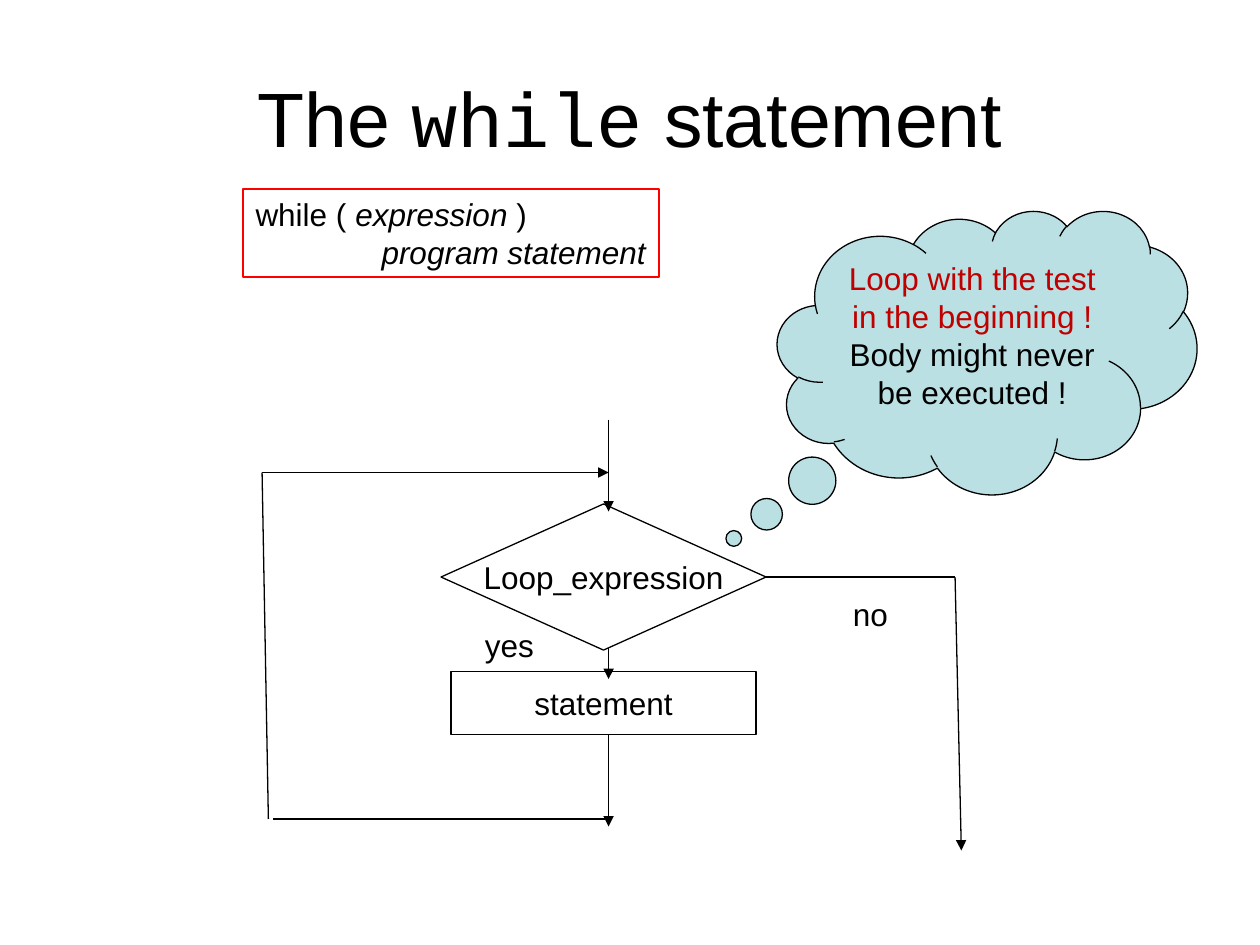
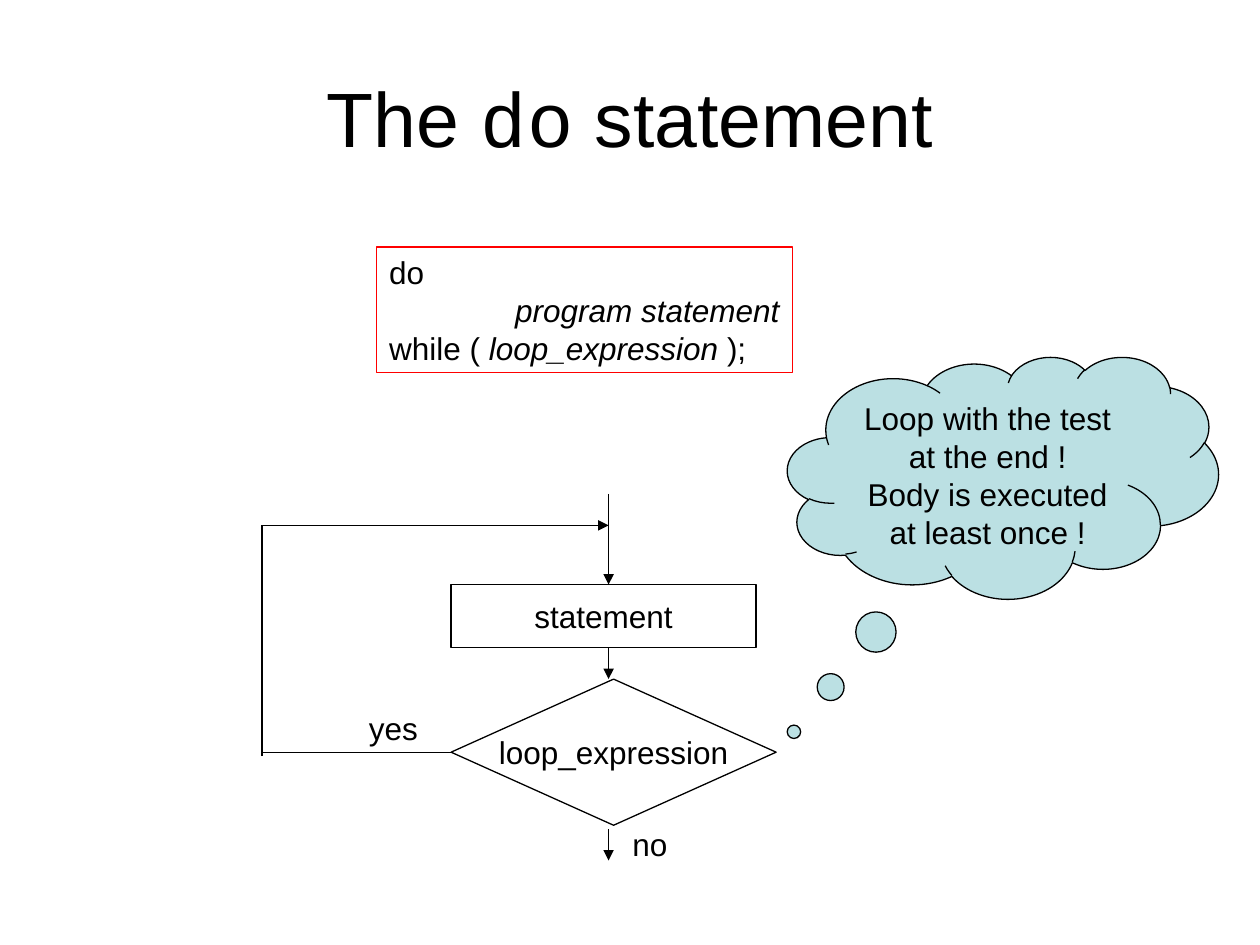
from lxml import etree
from pptx import Presentation
from pptx.dml.color import RGBColor
from pptx.enum.shapes import MSO_CONNECTOR, MSO_SHAPE
from pptx.enum.text import MSO_ANCHOR, MSO_AUTO_SIZE, PP_ALIGN
from pptx.oxml.ns import qn
from pptx.util import Pt

PX = 9144  # 100 px to the inch
RECT = MSO_SHAPE.RECTANGLE
PROCESS = MSO_SHAPE.FLOWCHART_PROCESS
DECISION = MSO_SHAPE.FLOWCHART_DECISION
CLOUD = MSO_SHAPE.CLOUD_CALLOUT
STRAIGHT = MSO_CONNECTOR.STRAIGHT
LEFT, CENTER = PP_ALIGN.LEFT, PP_ALIGN.CENTER
TOP, MIDDLE = MSO_ANCHOR.TOP, MSO_ANCHOR.MIDDLE
FIT, FIXED = MSO_AUTO_SIZE.SHAPE_TO_FIT_TEXT, MSO_AUTO_SIZE.NONE

COLORS = {"ink": "000000", "frame": "FF0000", "cloud": "BBE0E3", "accent": "C00000"}
TITLE_BOX = (50, 30, 900, 125)
BODY_FONT, CODE_FONT = "Arial", "Courier New"
TITLE_SIZE, BODY_SIZE = 44, 18
AXIS_X = 483  # vertical flow line
LOOP_X = 208  # left edge of the loop back
LEFT_SIDE, RIGHT_SIDE = 1, 3


def rgb(name):
    return RGBColor.from_string(COLORS[name])


def emu(box):
    return [v * PX for v in box]


# Text
def add_run(p, text, size=BODY_SIZE, font=BODY_FONT, color="ink", italic=False):
    r = p.add_run()
    r.text = text
    r.font.size = Pt(size)
    r.font.name = font
    r.font.italic = italic
    r.font.color.rgb = rgb(color)


def fill_text(tf, paragraphs, align=LEFT, anchor=TOP, wrap=False, auto_size=FIXED):
    """Each paragraph is a list of (text, run options)."""
    tf.word_wrap = wrap
    tf.auto_size = auto_size
    tf.vertical_anchor = anchor
    for i, runs in enumerate(paragraphs):
        p = tf.paragraphs[0] if i == 0 else tf.add_paragraph()
        p.alignment = align
        for text, options in runs:
            add_run(p, text, **options)


def add_tab_stop(p, px):
    tabs = etree.SubElement(p._p.get_or_add_pPr(), qn("a:tabLst"))
    etree.SubElement(tabs, qn("a:tab"), pos=str(px * PX), algn="l")


def add_title_slide(prs, keyword):
    s = prs.slides.add_slide(prs.slide_layouts[5])
    title = s.shapes.title
    title.left, title.top, title.width, title.height = emu(TITLE_BOX)
    big = {"size": TITLE_SIZE}
    runs = [("The ", big), (keyword, {"size": TITLE_SIZE, "font": CODE_FONT}),
            (" statement", big)]
    fill_text(title.text_frame, [runs], CENTER, MIDDLE, wrap=True)
    return s


def add_label(s, box, text):
    tb = s.shapes.add_textbox(*emu(box))
    fill_text(tb.text_frame, [[(text, {})]], auto_size=FIT)


# Shapes
def add_outline(s, kind, box, line="ink", fill=None):
    sp = s.shapes.add_shape(kind, *emu(box))
    sp.shadow.inherit = False
    sp.line.color.rgb = rgb(line)
    sp.line.width = Pt(0.75)
    if fill:
        sp.fill.solid()
        sp.fill.fore_color.rgb = rgb(fill)
    else:
        sp.fill.background()
    return sp


def add_code_box(s, box, paragraphs):
    sp = add_outline(s, RECT, box, line="frame")
    fill_text(sp.text_frame, paragraphs, auto_size=FIT)
    for p in sp.text_frame.paragraphs:
        add_tab_stop(p, 100)


def add_step(s, kind, box, text):
    sp = add_outline(s, kind, box)
    fill_text(sp.text_frame, [[(text, {})]], CENTER, MIDDLE)
    return sp


def add_thought(s, box, tail, paragraphs):
    sp = add_outline(s, CLOUD, box, fill="cloud")
    sp.adjustments[0], sp.adjustments[1] = tail
    fill_text(sp.text_frame, paragraphs, CENTER, wrap=True)


def add_line(s, start, end, arrow=False):
    c = s.shapes.add_connector(STRAIGHT, *emu(start + end))
    c.line.color.rgb = rgb("ink")
    c.line.width = Pt(0.75)
    if arrow:
        etree.SubElement(c.line._get_or_add_ln(), qn("a:tailEnd"), type="triangle")
    etree.SubElement(c._element.spPr, qn("a:effectLst"))
    return c


def add_down_arrow(s, top, bottom):
    add_line(s, (AXIS_X, top), (AXIS_X, bottom), arrow=True)


# Slides
ITALIC = {"italic": True}
BODY_LINE = [("\tprogram statement", ITALIC)]


def build_while_slide(prs):
    s = add_title_slide(prs, "while")
    add_code_box(s, (193, 150, 330, 70), [
        [("while ( ", {}), ("expression ", ITALIC), (")", {})],
        BODY_LINE,
    ])
    add_step(s, PROCESS, (358, 533, 242, 50), "statement")
    test = add_step(s, DECISION, (350, 400, 258, 116), "Loop_expression")
    add_label(s, (375, 492, 59, 40), "yes")
    add_label(s, (667, 467, 48, 40), "no")
    add_thought(s, (617, 167, 333, 225), (-0.604, 0.657), [
        [("Loop with the test in the beginning !", {"color": "accent"})],
        [("Body might never be executed !", {})],
    ])

    # Flow through the test and the body
    for top, bottom in ((333, 406), (514, 539), (583, 656)):
        add_down_arrow(s, top, bottom)
    # Loop back
    add_line(s, (217, 650), (AXIS_X, 650))
    add_line(s, (213, 650), (LOOP_X, 375))
    add_line(s, (LOOP_X, 375), (AXIS_X, 375), arrow=True)
    # Exit
    add_line(s, (608, 458), (758, 458)).begin_connect(test, RIGHT_SIDE)
    add_line(s, (758, 458), (763, 675), arrow=True)


def build_do_slide(prs):
    s = add_title_slide(prs, "do")
    add_code_box(s, (299, 196, 330, 100), [
        [("do", {})],
        BODY_LINE,
        [("while ( ", {}), ("loop_expression ", ITALIC), (");", {})],
    ])
    add_step(s, PROCESS, (358, 464, 242, 50), "statement")
    test = add_step(s, DECISION, (358, 539, 258, 116), "loop_expression")
    add_label(s, (283, 558, 59, 40), "yes")
    add_label(s, (492, 650, 48, 40), "no")
    add_thought(s, (625, 283, 342, 192), (-0.485, 1.051), [
        [("Loop with the test at the end !", {})],
        [("Body is executed at least once !", {})],
    ])

    # Flow through the body, the test and the exit
    for top, bottom in ((392, 464), (514, 539), (658, 683)):
        add_down_arrow(s, top, bottom)
    # Loop back
    add_line(s, (LOOP_X, 597), (358, 597)).end_connect(test, LEFT_SIDE)
    add_line(s, (LOOP_X, 600), (LOOP_X, 417))
    add_line(s, (LOOP_X, 417), (AXIS_X, 417), arrow=True)


def main():
    prs = Presentation()
    prs.slide_width, prs.slide_height = emu((1000, 750))
    build_while_slide(prs)
    build_do_slide(prs)
    prs.save("out.pptx")


if __name__ == "__main__":
    main()
